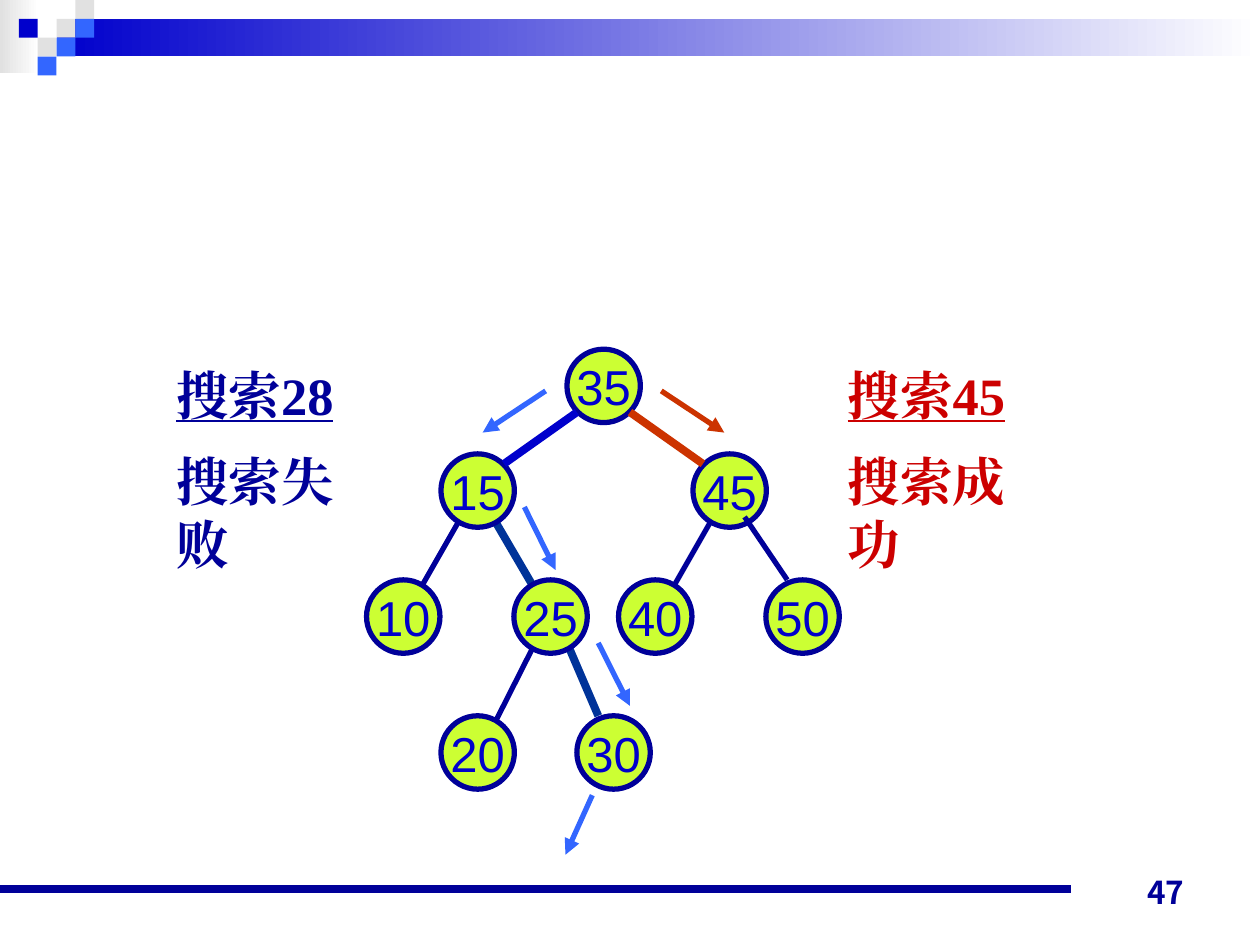
from lxml.etree import SubElement
from pptx import Presentation
from pptx.dml.color import RGBColor
from pptx.enum.shapes import MSO_CONNECTOR, MSO_SHAPE
from pptx.enum.text import MSO_ANCHOR, PP_ALIGN
from pptx.oxml.ns import qn
from pptx.util import Cm, Pt

NAVY, BLUE, SKY, DEEP = "000099", "0000CC", "3366FF", "003399"
GREY, WHITE, LIME = "E1E1E1", "FFFFFF", "CCFF33"
RED, RUST = "CC0000", "CC3300"
TILE = 0.38
NODE = 1.48

# Node label, then left and top inside the tree
NODES = [
    ("35", 4.04, 0),
    ("15", 1.5, 2.11), ("45", 6.58, 2.11),
    ("10", 0, 4.65), ("25", 2.97, 4.65), ("40", 5.08, 4.65), ("50", 8.05, 4.65),
    ("20", 1.5, 7.39), ("30", 4.24, 7.39),
]
# Start, end, colour, width
LOW_EDGES = [
    (6.99, 3.38, 6.15, 4.85, NAVY, 3),
    (4.04, 5.92, 4.67, 7.39, DEEP, 4.5),
    (3.4, 5.92, 2.54, 7.62, NAVY, 3),
    (1.91, 3.38, 1.07, 4.85, NAVY, 3),
    (2.54, 3.38, 3.4, 4.85, DEEP, 4.5),
]
TOP_EDGES = [
    (4.24, 1.27, 2.77, 2.31, BLUE, 4.5),
    (5.31, 1.27, 6.78, 2.31, RUST, 4.5),
    (7.62, 3.38, 8.48, 4.65, NAVY, 3),
]
ARROWS = [
    (5.94, 0.84, 7.21, 1.68, RUST, 3),
    (3.61, 0.84, 2.34, 1.68, SKY, 3),
    (3.18, 3.18, 3.81, 4.45, SKY, 3),
    (4.67, 5.92, 5.31, 7.19, SKY, 3),
    (4.55, 8.99, 4.01, 10.19, SKY, 3),
]


def paint(color, tint):
    color.rgb = RGBColor.from_string(tint)


def add_run(para, text, font, size, tint, bold=False, under=False):
    run = para.add_run()
    run.text = text
    run.font.name, run.font.size = font, Pt(size)
    run.font.bold, run.font.underline = bold, under
    paint(run.font.color, tint)
    SubElement(run.font._element, qn("a:ea"), typeface=font)


def add_block(shapes, kind, x, y, w, h, tint, fade=None):
    """Add a filled shape without outline, fading rightwards to a second colour if given."""
    block = shapes.add_shape(kind, Cm(x), Cm(y), Cm(w), Cm(h))
    block.shadow.inherit = False
    block.line.fill.background()
    if fade:
        block.fill.gradient()
        block.fill.gradient_angle = 0
        for stop, shade in zip(block.fill.gradient_stops, (tint, fade)):
            paint(stop.color, shade)
            stop.position = 0 if shade == tint else 1
    else:
        block.fill.solid()
        paint(block.fill.fore_color, tint)
    return block


def add_line(shapes, x, y, link, arrow=False):
    x1, y1, x2, y2, tint, width = link
    line = shapes.add_connector(MSO_CONNECTOR.STRAIGHT, Cm(x + x1), Cm(y + y1),
                                Cm(x + x2), Cm(y + y2))
    paint(line.line.color, tint)
    line.line.width = Pt(width)
    if arrow:
        SubElement(line.line._get_or_add_ln(), qn("a:tailEnd"), type="triangle")
    SubElement(line._element.spPr, qn("a:effectLst"))


def add_header(shapes, x, y, w):
    rect = MSO_SHAPE.RECTANGLE
    add_block(shapes, rect, x, y, 0.79, 1.47, GREY, WHITE)
    add_block(shapes, rect, x + 3 * TILE, y + TILE, w - 3 * TILE, 2 * TILE, BLUE, WHITE)
    tiles = [(3, 1, GREY), (4, 0, GREY), (4, 1, SKY), (2, 2, GREY),
             (1, 1, BLUE), (3, 2, SKY), (2, 3, SKY)]
    for col, row, tint in tiles:
        add_block(shapes, rect, x + col * TILE, y + row * TILE, TILE, TILE, tint)


def add_footer(shapes, x, y, number):
    add_line(shapes, x, y, (0, 0.71, 21.59, 0.71, NAVY, 4.5))
    box = shapes.add_textbox(Cm(x + 18.21), Cm(y), Cm(5.92), Cm(1.27))
    frame = box.text_frame
    frame.word_wrap = True
    frame.vertical_anchor = MSO_ANCHOR.BOTTOM
    para = frame.paragraphs[0]
    para.alignment = PP_ALIGN.RIGHT
    add_run(para, number, "Noto Sans CJK JP", 18, NAVY, bold=True)


def add_note(shapes, x, y, query, result, tint):
    frame = shapes.add_textbox(Cm(x), Cm(y), Cm(4.72), Cm(3.28)).text_frame
    frame.word_wrap = False
    add_run(frame.paragraphs[0], query, "Times New Roman", 30, tint, True, True)
    para = frame.add_paragraph()
    para.space_before = Pt(13.1)
    add_run(para, result, "Times New Roman", 30, tint, True)


def add_node(shapes, x, y, label):
    node = add_block(shapes, MSO_SHAPE.OVAL, x, y, NODE, NODE, LIME)
    paint(node.line.color, NAVY)
    node.line.width = Pt(3)
    frame = node.text_frame
    frame.word_wrap = False
    frame.vertical_anchor = MSO_ANCHOR.MIDDLE
    para = frame.paragraphs[0]
    para.alignment = PP_ALIGN.CENTER
    add_run(para, label, "Arial", 28, BLUE)


def add_tree(shapes, x, y):
    for edge in LOW_EDGES:
        add_line(shapes, x, y, edge)
    for label, dx, dy in NODES:
        add_node(shapes, x + dx, y + dy, label)
    for edge in TOP_EDGES:
        add_line(shapes, x, y, edge)
    for arrow in ARROWS:
        add_line(shapes, x, y, arrow, arrow=True)


def main():
    deck = Presentation()
    deck.slide_width, deck.slide_height = Cm(25.4), Cm(19.05)
    shapes = deck.slides.add_slide(deck.slide_layouts[6]).shapes
    add_header(shapes, 0, 0, 25.4)
    add_footer(shapes, 0, 17.22, "47")
    add_note(shapes, 16.84, 7.19, "搜索45", "搜索成功", RED)
    add_note(shapes, 3.3, 7.19, "搜索28", "搜索失败", NAVY)
    add_tree(shapes, 7.39, 7.04)
    deck.save("out.pptx")


if __name__ == "__main__":
    main()
